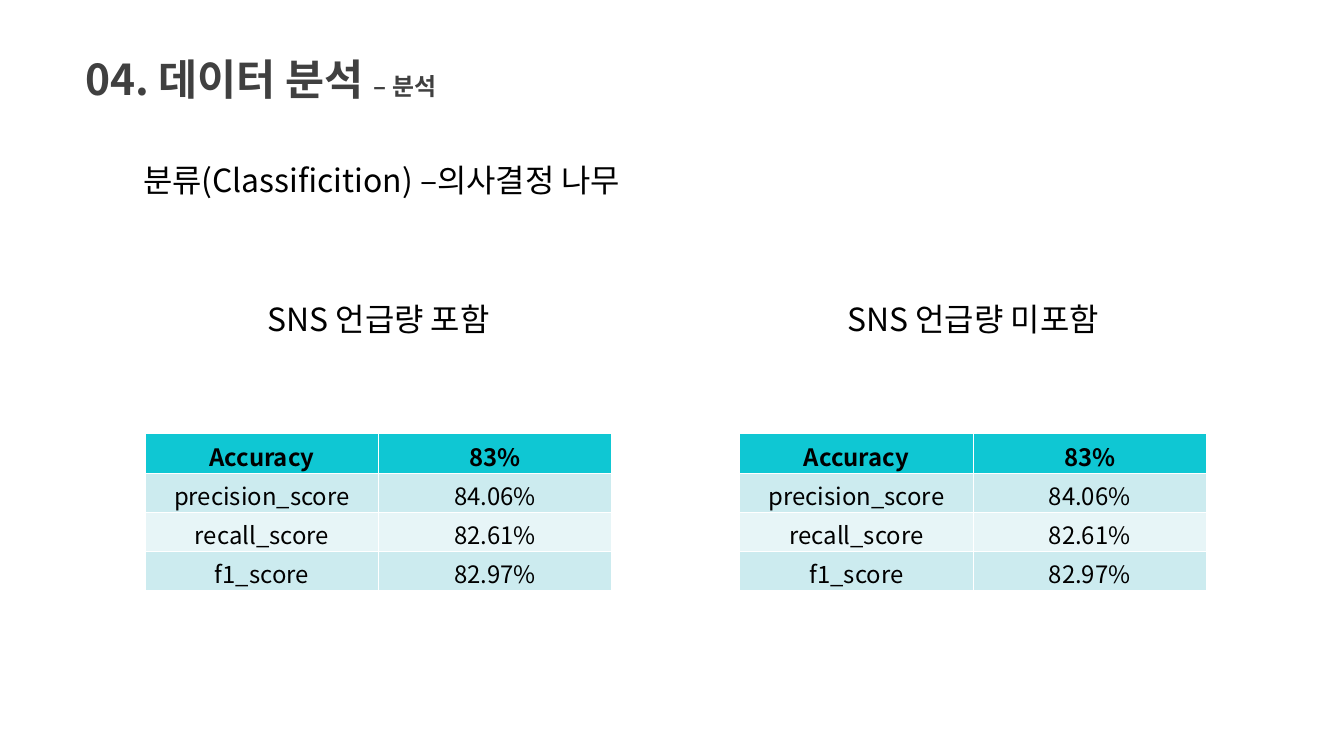
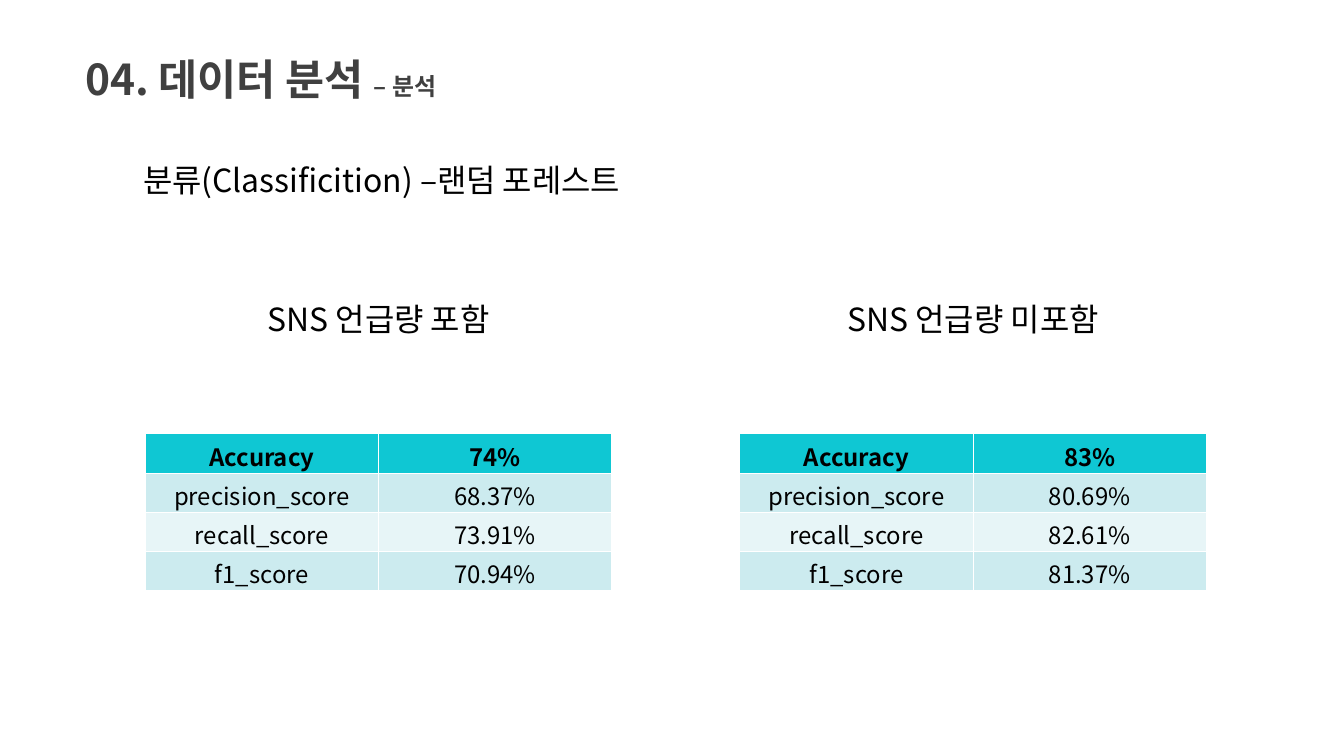
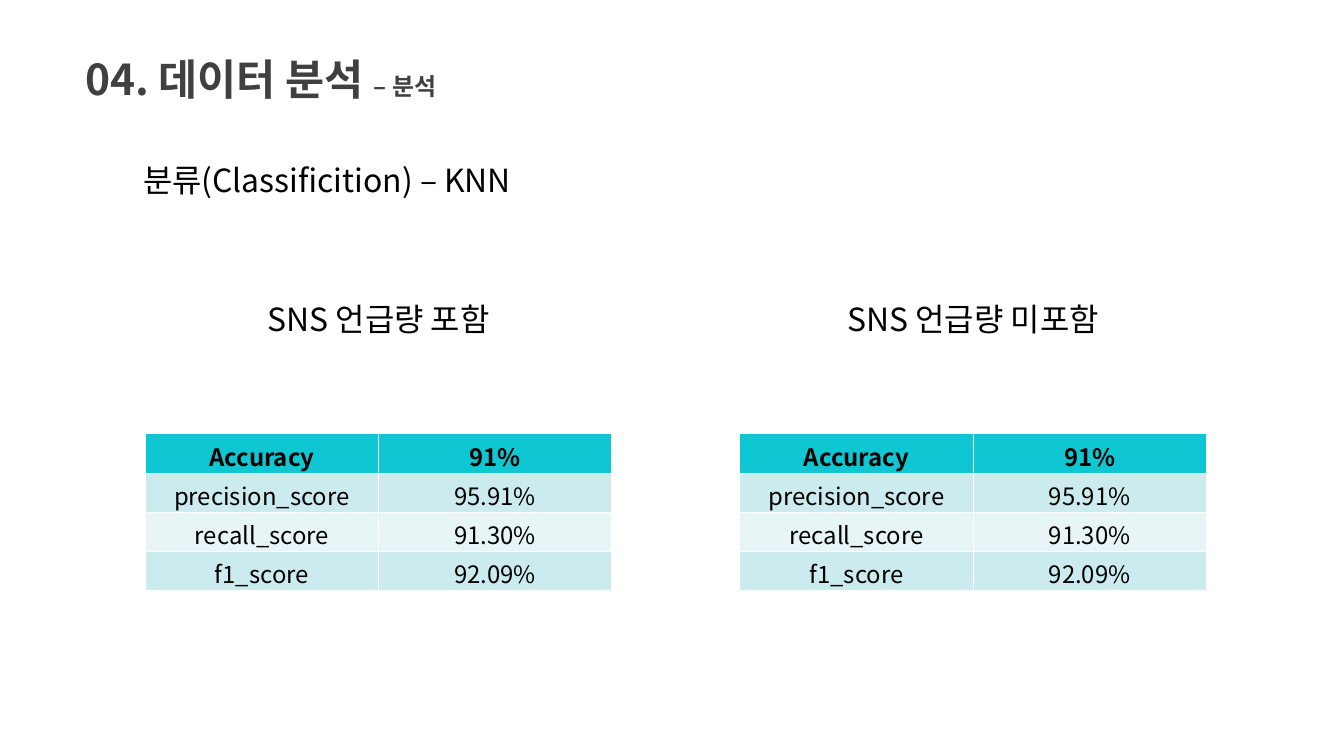
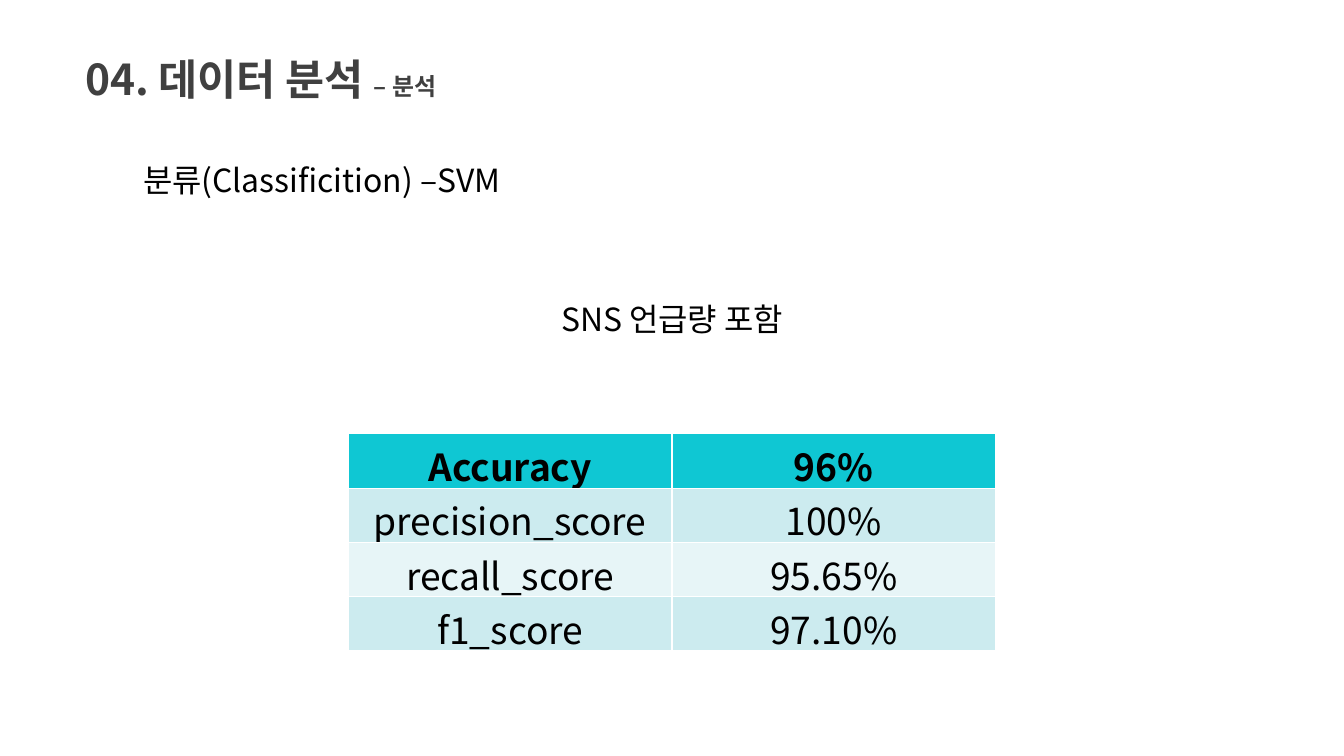
from dataclasses import dataclass

from lxml.etree import SubElement
from pptx import Presentation
from pptx.dml.color import RGBColor
from pptx.enum.text import MSO_AUTO_SIZE, PP_ALIGN
from pptx.oxml.ns import qn
from pptx.util import Inches, Pt


@dataclass(frozen=True)
class Theme:
    font: str = "Noto Sans CJK KR"
    ink: str = "000000"
    title: str = "404040"
    head: str = "0FC7D3"
    bands: tuple = ("CCEBEF", "E7F5F7")
    big: int = 32
    body: int = 24
    small: int = 18
    wide: int = 28


THEME = Theme()
WIDTH, HEIGHT = 14.06, 7.91
ROW = 0.41
MID, LEFT, RIGHT = 7.03, 3.96, 10.18
WITH, WITHOUT = ("SNS 언급량 포함", 2.99), ("SNS 언급량 미포함", 3.46)
LABELS = ("Accuracy", "precision_score", "recall_score", "f1_score")
SLIDES = (
    ("분류(Classificition) –의사결정 나무",
     (("83%", "84.06%", "82.61%", "82.97%"),
      ("83%", "84.06%", "82.61%", "82.97%"))),
    ("분류(Classificition) –랜덤 포레스트",
     (("74%", "68.37%", "73.91%", "70.94%"),
      ("83%", "80.69%", "82.61%", "81.37%"))),
    ("분류(Classificition) – KNN",
     (("91%", "95.91%", "91.30%", "92.09%"),
      ("91%", "95.91%", "91.30%", "92.09%"))),
    ("분류(Classificition) –SVM",
     (("96%", "100%", "95.65%", "97.10%"),)),
)


def style(font, size, color, bold=False):
    font.name = THEME.font
    font.size = Pt(size)
    font.bold = bold
    font.color.rgb = RGBColor.from_string(color)


def write(para, text, size, color=THEME.ink, bold=False):
    """Add a run, with one font for Latin and Korean letters."""
    run = para.add_run()
    run.text = text
    style(para.font, size, color, bold)
    style(run.font, size, color, bold)
    SubElement(run.font._element, qn("a:ea"), typeface=THEME.font)


def add_box(slide, *box):
    frame = slide.shapes.add_textbox(*map(Inches, box)).text_frame
    frame.word_wrap = True
    frame.auto_size = MSO_AUTO_SIZE.SHAPE_TO_FIT_TEXT
    return frame


def add_title(slide):
    frame = add_box(slide, 0.89, 0.55, 6.77, 0.54)
    frame.margin_left = frame.margin_right = 0
    frame.margin_top = frame.margin_bottom = 0
    para = frame.paragraphs[0]
    write(para, "04. 데이터 분석 ", THEME.big, THEME.title, True)
    write(para, "– 분석", THEME.small, THEME.title, True)


def add_topic(slide, text):
    para = add_box(slide, 1.4, 1.43, 10.83, 0.66).paragraphs[0]
    para.line_spacing = 1.5
    write(para, text, THEME.body)


def add_scores(slide, box, values, size):
    left, top, width, height = map(Inches, box)
    table = slide.shapes.add_table(
        len(LABELS), 2, left, top, width, height).table
    for row, pair in enumerate(zip(LABELS, values)):
        fill = THEME.bands[(row - 1) % 2] if row else THEME.head
        for col, text in enumerate(pair):
            cell = table.cell(row, col)
            cell.fill.solid()
            cell.fill.fore_color.rgb = RGBColor.from_string(fill)
            para = cell.text_frame.paragraphs[0]
            para.alignment = PP_ALIGN.CENTER
            write(para, text, size, bold=row == 0)


def add_panel(slide, mid, caption, values, width, size):
    """Place a caption and its score table around a centre line."""
    text, span = caption
    para = add_box(slide, mid - span / 2, 3.09, span, 0.5).paragraphs[0]
    para.alignment = PP_ALIGN.CENTER
    write(para, text, THEME.body)
    box = (mid - width / 2, 4.54, width, ROW * len(LABELS))
    add_scores(slide, box, values, size)


def main():
    deck = Presentation()
    deck.slide_width, deck.slide_height = Inches(WIDTH), Inches(HEIGHT)
    for topic, results in SLIDES:
        slide = deck.slides.add_slide(deck.slide_layouts[6])
        add_topic(slide, topic)
        add_title(slide)
        if len(results) == 1:
            add_panel(slide, MID, WITH, results[0], 6.77, THEME.wide)
        else:
            for mid, caption, values in zip(
                    (LEFT, RIGHT), (WITH, WITHOUT), results):
                add_panel(slide, mid, caption, values, 4.88, THEME.small)
    deck.save("out.pptx")


if __name__ == "__main__":
    main()
